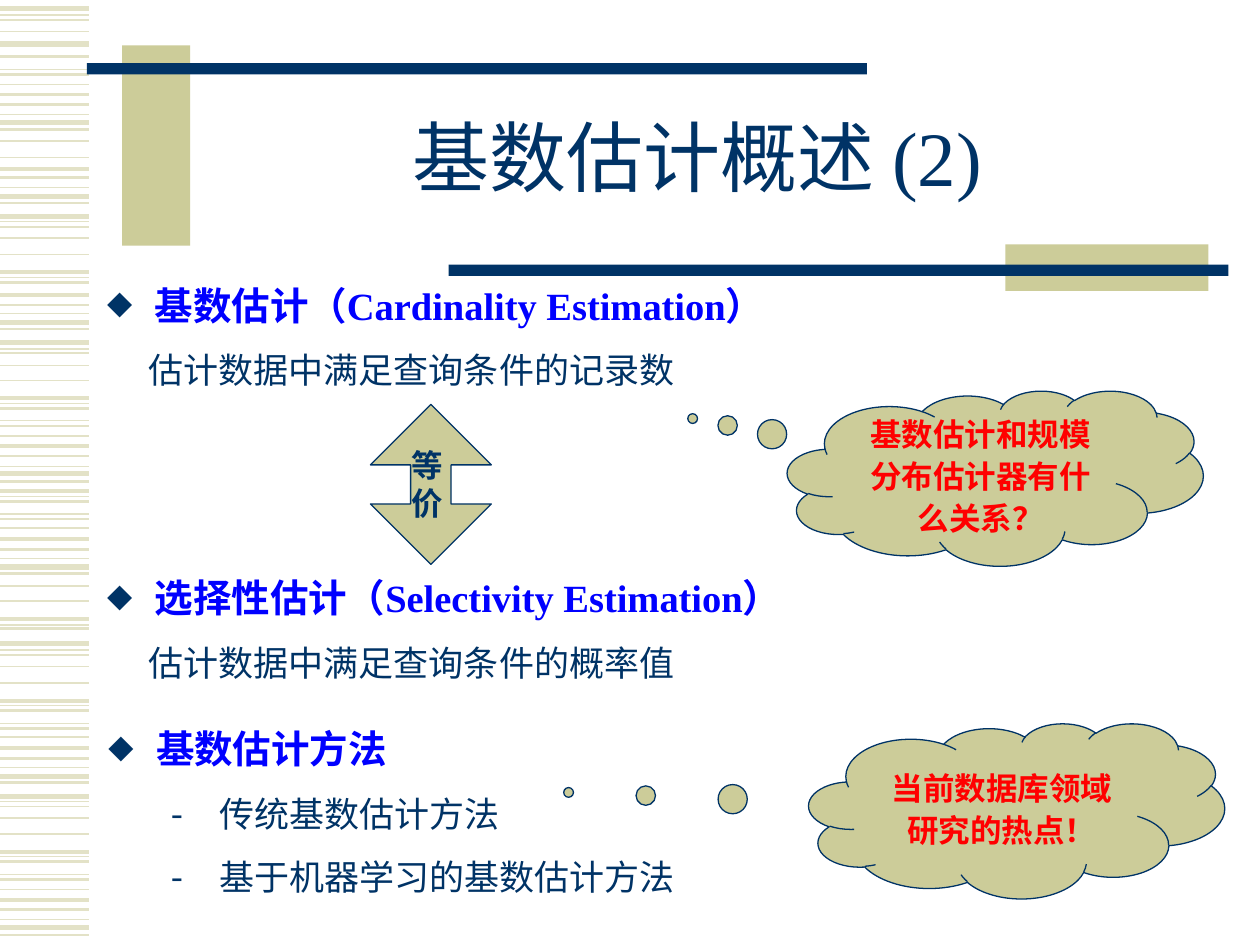
from lxml.etree import SubElement
from pptx import Presentation
from pptx.dml.color import RGBColor
from pptx.enum.shapes import MSO_CONNECTOR, MSO_SHAPE
from pptx.enum.text import MSO_ANCHOR, PP_ALIGN
from pptx.oxml.ns import qn
from pptx.util import Emu, Pt

PX = 9144
FONT = "Times New Roman"
NAVY, KHAKI, PALE, BLUE, RED = "003366", "CCCC99", "E3E2C7", "0000FF", "FF0000"

STRIPES = {
    0.75: [12, 55, 91, 149, 176, 220, 249, 277, 320, 334, 370, 394, 408, 443,
           496, 516, 560, 574, 609, 636, 680, 694, 730],
    1: [16, 25, 67, 112, 125, 180, 189, 202, 280, 290, 302, 346, 419, 465,
        477, 520, 529, 542, 585, 640, 649, 662, 706],
    1.5: [45, 59, 83, 103, 141, 161, 224, 242, 261, 324, 338, 362, 382, 398,
          412, 436, 455, 499, 564, 578, 602, 621, 684, 698, 722, 742],
    2.25: [75, 134, 216, 234, 316, 354, 390, 428, 491, 556, 594, 676, 714],
    3: [7, 35, 97, 156, 172, 256, 272, 376, 450, 511, 616, 632, 736],
}
BARS = [
    ((97, 36, 54, 159), KHAKI),
    ((69, 50, 619, 9), NAVY),
    ((798, 194, 161, 37), KHAKI),
    ((356, 210, 619, 9), NAVY),
]
HEADING = {"size": 22, "color": BLUE, "bold": True, "left": 38, "hang": 38, "bullet": "⬥"}
DETAIL = {"size": 20, "color": NAVY, "left": 33}
METHOD = {"size": 20, "color": NAVY, "left": 88, "hang": 38, "bullet": "-"}
BLOCKS = [
    ((75, 222, 898, 114), [("基数估计（Cardinality Estimation）", HEADING),
                           ("估计数据中满足查询条件的记录数", DETAIL)]),
    ((75, 454, 898, 110), [("选择性估计（Selectivity Estimation）", HEADING),
                           ("估计数据中满足查询条件的概率值", DETAIL)]),
    ((76, 574, 898, 148), [("基数估计方法", HEADING),
                           ("传统基数估计方法", METHOD),
                           ("基于机器学习的基数估计方法", METHOD)]),
]
CLOUDS = [
    ((625, 310, 330, 139), (-0.728, -0.34), "基数估计和规模分布估计器有什么关系？"),
    ((642, 574, 330, 139), (-1.078, -0.105), "当前数据库领域研究的热点！"),
]


def px(n):
    return Emu(n * PX)


def rgb(color):
    return RGBColor.from_string(color)


def set_all(obj, values):
    for name, value in values.items():
        setattr(obj, name, value)


def write(p, text, size, color, bold=False, **layout):
    set_all(p, layout)
    r = p.add_run()
    r.text = text
    set_all(r.font, {"name": FONT, "size": Pt(size), "bold": bold})
    r.font.color.rgb = rgb(color)


def add_bullet(p, char):
    pPr = p._p.get_or_add_pPr()
    SubElement(SubElement(pPr, qn("a:buClr")), qn("a:srgbClr"), val=NAVY)
    SubElement(pPr, qn("a:buFont"), typeface=FONT)
    SubElement(pPr, qn("a:buChar"), char=char)


def add_stripe(s, y, weight):
    line = s.shapes.add_connector(MSO_CONNECTOR.STRAIGHT, 0, px(y), px(71), px(y))
    line.line.color.rgb = rgb(PALE)
    line.line.width = Pt(weight)
    SubElement(line._element.spPr, qn("a:effectLst"))


def add_shape(s, kind, box, fill, outline=None, adjust=()):
    sp = s.shapes.add_shape(kind, *map(px, box))
    sp.shadow.inherit = False
    sp.fill.solid()
    sp.fill.fore_color.rgb = rgb(fill)
    if outline:
        sp.line.color.rgb = rgb(outline)
        sp.line.width = Pt(0.75)
    else:
        sp.line.fill.background()
    for i, value in enumerate(adjust):
        sp.adjustments[i] = value
    return sp


def add_text(s, box, anchor=MSO_ANCHOR.TOP):
    tf = s.shapes.add_textbox(*map(px, box)).text_frame
    set_all(tf, {"word_wrap": True, "vertical_anchor": anchor})
    return tf


def add_block(s, box, lines):
    tf = add_text(s, box)
    for i, (text, style) in enumerate(lines):
        p = tf.add_paragraph() if i else tf.paragraphs[0]
        write(p, text, style["size"], style["color"], style.get("bold", False),
              line_spacing=Pt(24), space_before=Pt(6), space_after=Pt(6))
        pPr = p._p.get_or_add_pPr()
        pPr.set("marL", str(px(style["left"])))
        pPr.set("indent", str(px(-style.get("hang", 0))))
        if "bullet" in style:
            add_bullet(p, style["bullet"])


def add_cloud(s, box, tail, text):
    sp = add_shape(s, MSO_SHAPE.CLOUD_CALLOUT, box, KHAKI, NAVY, tail)
    tf = sp.text_frame
    set_all(tf, {"word_wrap": True, "vertical_anchor": MSO_ANCHOR.MIDDLE})
    write(tf.paragraphs[0], text, 18, RED, True,
          alignment=PP_ALIGN.CENTER, line_spacing=Pt(24))


def main():
    prs = Presentation()
    set_all(prs, {"slide_width": px(1000), "slide_height": px(750)})
    s = prs.slides.add_slide(prs.slide_layouts[6])
    for weight, rows in STRIPES.items():
        for y in rows:
            add_stripe(s, y, weight)
    for box, color in BARS:
        add_shape(s, MSO_SHAPE.RECTANGLE, box, color)
    title = add_text(s, (150, 67, 807, 125), MSO_ANCHOR.MIDDLE)
    write(title.paragraphs[0], "基数估计概述 (2)", 44, NAVY,
          alignment=PP_ALIGN.CENTER, line_spacing=0.85)
    for box, lines in BLOCKS:
        add_block(s, box, lines)
    add_shape(s, MSO_SHAPE.UP_DOWN_ARROW, (294, 321, 96, 127), KHAKI, NAVY, (0.417, 0.334))
    label = add_text(s, (317, 349, 47, 71))
    write(label.paragraphs[0], "等价", 18, NAVY, True)
    for box, tail, text in CLOUDS:
        add_cloud(s, box, tail, text)
    prs.save("out.pptx")


if __name__ == "__main__":
    main()
